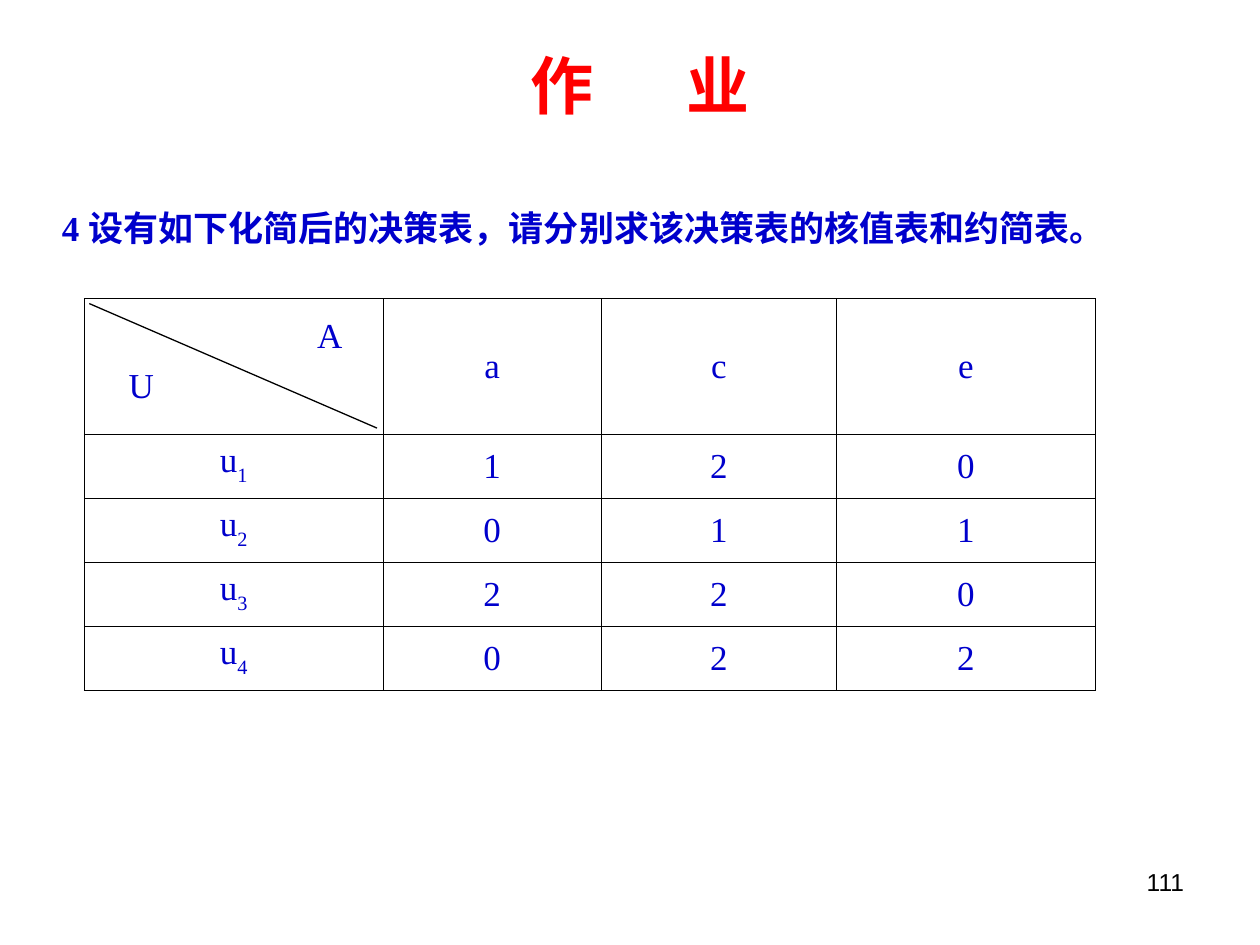
"""Build the homework slide with its simplified decision table."""
from dataclasses import dataclass

from lxml import etree
from pptx import Presentation, util as u
from pptx.dml import color
from pptx.enum import shapes, text
from pptx.oxml import ns


@dataclass(frozen=True)
class Theme:
    red: str = "FF0000"
    blue: str = "0000CC"
    black: str = "000000"
    white: str = "FFFFFF"
    serif: str = "Times New Roman"
    sans: str = "Arial"
    title: int = 36
    body: int = 20
    number: int = 14
    border: float = 0.45
    diagonal: float = 0.75


THEME = Theme()
ALIGN = text.PP_ALIGN
HEADERS = ["a", "c", "e"]
VALUES = [[1, 2, 0], [0, 1, 1], [2, 2, 0], [0, 2, 2]]
COLUMNS = [6.02, 4.4, 4.74, 5.22]
HEADER_HEIGHT, ROW_HEIGHT = 2.74, 1.29


def rgb(value):
    return color.RGBColor.from_string(value)


def format_paragraph(p, align=ALIGN.CENTER, size=THEME.body, hue=THEME.blue,
                     face=THEME.serif, bold=False):
    p.alignment = align
    for r in p.runs:
        r.font.size = u.Pt(size)
        r.font.name = face
        r.font.bold = bold
        r.font.color.rgb = rgb(hue)


def add_text(s, box, content, grow=False, **style):
    tf = s.shapes.add_textbox(*map(u.Cm, box)).text_frame
    tf.word_wrap = True
    if grow:
        tf.auto_size = text.MSO_AUTO_SIZE.SHAPE_TO_FIT_TEXT
    p = tf.paragraphs[0]
    p.text = content
    format_paragraph(p, **style)
    return p


def add_title(s):
    p = add_text(s, (1.1, 0.82, 23.6, 1.78), "作", grow=True)
    for part in (" ", "业"):
        p.add_run().text = part
    format_paragraph(p, size=THEME.title, hue=THEME.red, bold=True)
    gap = p.runs[1].font
    gap._element.set("spc", "4500")


def add_diagonal(s, start, end):
    line = s.shapes.add_connector(shapes.MSO_CONNECTOR.STRAIGHT, *map(u.Cm, start + end))
    line.line.color.rgb = rgb(THEME.black)
    line.line.width = u.Pt(THEME.diagonal)
    etree.SubElement(line._element.spPr, ns.qn("a:effectLst"))


def add_axis_label(s, left, top, content):
    sp = s.shapes.add_shape(shapes.MSO_SHAPE.RECTANGLE, *map(u.Cm, (left, top, 1.1, 0.9)))
    sp.shadow.inherit = False
    sp.fill.solid()
    sp.fill.fore_color.rgb = rgb(THEME.white)
    sp.line.fill.background()
    tf = sp.text_frame
    tf.margin_left = tf.margin_right = tf.margin_top = tf.margin_bottom = 0
    tf.vertical_anchor = text.MSO_ANCHOR.TOP
    tf.text = content
    format_paragraph(tf.paragraphs[0])


def style_cell(cell):
    props = cell._tc.get_or_add_tcPr()
    for side in ("lnL", "lnR", "lnT", "lnB"):
        line = etree.SubElement(props, ns.qn(f"a:{side}"), w=str(u.Pt(THEME.border)))
        fill = etree.SubElement(line, ns.qn("a:solidFill"))
        etree.SubElement(fill, ns.qn("a:srgbClr"), val=THEME.black)
    cell.fill.background()


def fill_cell(cell, content, subscript=None):
    p = cell.text_frame.paragraphs[0]
    p.text = content
    if subscript:
        r = p.add_run()
        r.text = subscript
        r.font._element.set("baseline", "-30000")
    else:
        cell.vertical_anchor = text.MSO_ANCHOR.MIDDLE
    format_paragraph(p)


def add_decision_table(s, left, top):
    heights = [HEADER_HEIGHT] + [ROW_HEIGHT] * len(VALUES)
    size = (left, top, sum(COLUMNS), sum(heights))
    table = s.shapes.add_table(len(heights), len(COLUMNS), *map(u.Cm, size)).table
    table.first_row = table.horz_banding = False
    for column, width in zip(table.columns, COLUMNS):
        column.width = u.Cm(width)
    for row, height in zip(table.rows, heights):
        row.height = u.Cm(height)
    for cell in table.iter_cells():
        style_cell(cell)
    for i, values in enumerate([HEADERS] + VALUES):
        if i:
            fill_cell(table.cell(i, 0), "u", str(i))
        for j, value in enumerate(values, 1):
            fill_cell(table.cell(i, j), str(value))


def main():
    prs = Presentation()
    prs.slide_width, prs.slide_height = u.Cm(25.4), u.Cm(19.05)
    s = prs.slides.add_slide(prs.slide_layouts[6])
    add_text(s, (18.2, 17.36, 5.92, 1.32), "111", align=ALIGN.RIGHT,
             size=THEME.number, hue=THEME.black, face=THEME.sans)
    add_text(s, (1, 4.04, 23.6, 1.11),
             "4 设有如下化简后的决策表，请分别求该决策表的核值表和约简表。",
             grow=True, align=ALIGN.LEFT, bold=True)
    add_title(s)
    add_diagonal(s, (1.8, 6.12), (7.6, 8.63))
    add_axis_label(s, 6.1, 6.32, "A")
    add_decision_table(s, 1.7, 6.02)
    add_axis_label(s, 2.3, 7.32, "U")
    prs.save("out.pptx")


if __name__ == "__main__":
    main()
